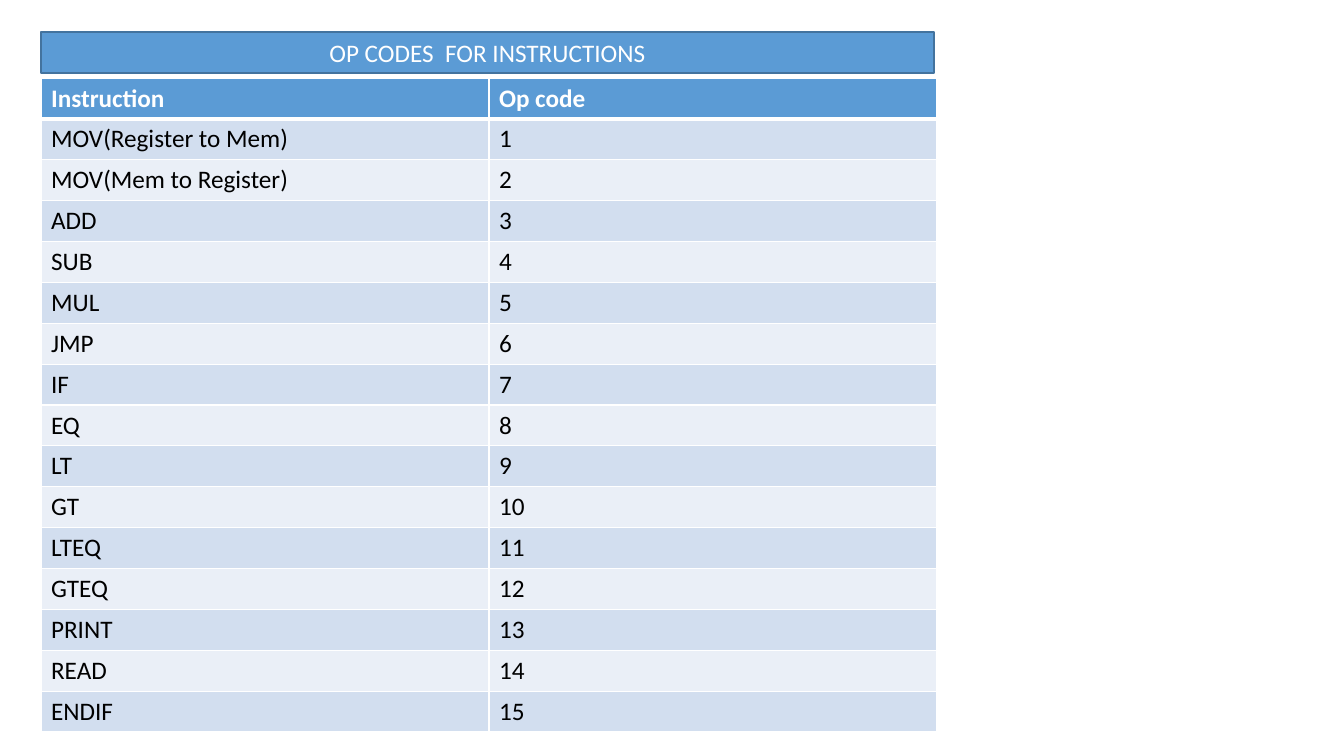
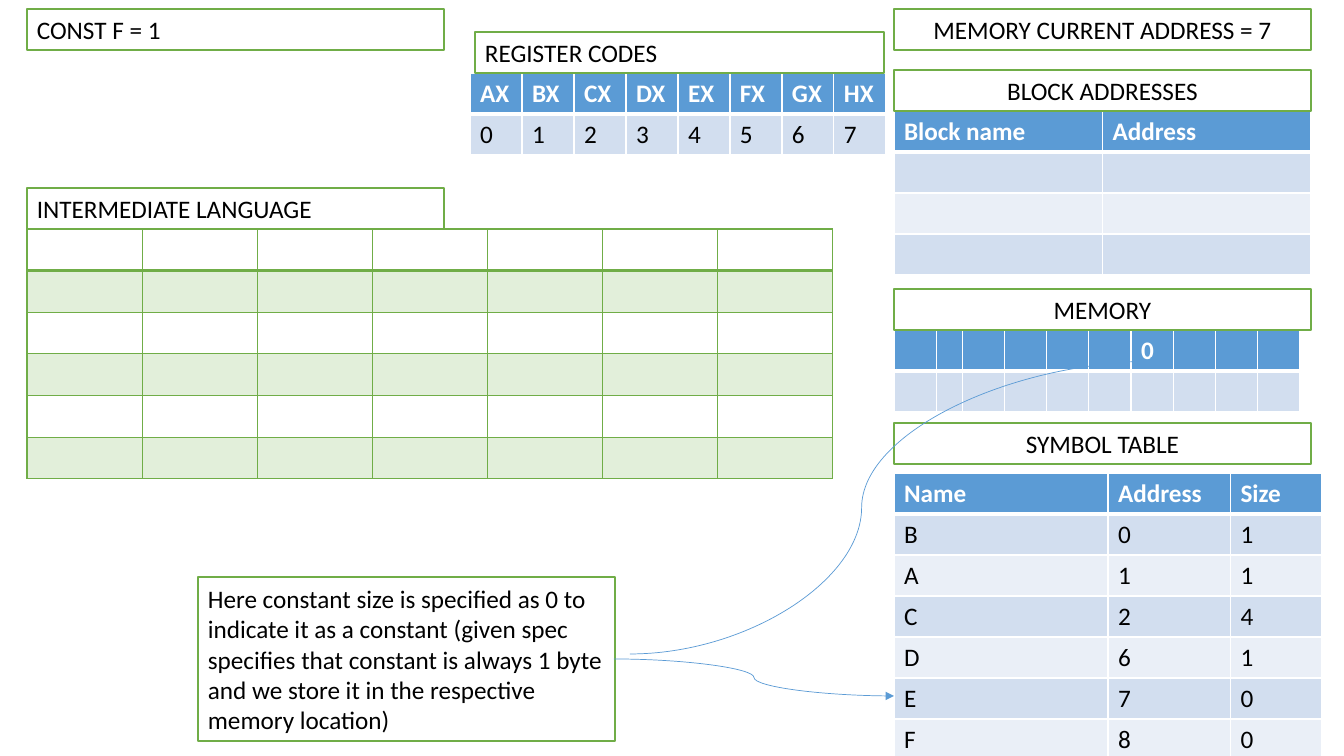
from lxml import etree
from pptx import Presentation
from pptx.dml.color import RGBColor
from pptx.enum.shapes import MSO_CONNECTOR, MSO_SHAPE
from pptx.enum.text import MSO_ANCHOR, PP_ALIGN
from pptx.oxml.ns import qn
from pptx.util import Pt

RECT = MSO_SHAPE.RECTANGLE
CURVE = MSO_CONNECTOR.CURVE
LEFT, CENTER = PP_ALIGN.LEFT, PP_ALIGN.CENTER
MIDDLE = MSO_ANCHOR.MIDDLE
SCALE = 914400 / 100.8
FONT = "Calibri"
WHITE, BLACK = "FFFFFF", "000000"
BLUE, NAVY, GREEN = "5B9BD5", "43739E", "70AD47"
BLUES = (BLUE, "D2DEEF", "EAEFF7")
GREENS = (None, "E2EFDA", None)
BAR = 41


def px(n):
    return round(n * SCALE)


def color(code):
    return RGBColor.from_string(code)


def paint(fill, code):
    if code is None:
        fill.background()
    else:
        fill.solid()
        fill.fore_color.rgb = color(code)


def write(frame, text, ink=BLACK, bold=False, align=LEFT, size=18):
    para = frame.paragraphs[0]
    para.alignment = align
    run = para.add_run()
    run.text = text
    font = run.font
    font.name, font.size, font.bold = FONT, Pt(size), bold
    font.color.rgb = color(ink)


def label(slide, box, text, fill=WHITE, edge=GREEN, **style):
    shape = slide.shapes.add_shape(RECT, *map(px, box))
    shape.shadow.inherit = False
    paint(shape.fill, fill)
    shape.line.color.rgb = color(edge)
    shape.line.width = Pt(1)
    frame = shape.text_frame
    frame.word_wrap = True
    frame.vertical_anchor = MIDDLE
    write(frame, text, **style)


def border(cell, code, top, bottom):
    props = cell._tc.get_or_add_tcPr()
    sides = (("lnL", 1), ("lnR", 1), ("lnT", top), ("lnB", bottom))
    for at, (side, width) in enumerate(sides):
        line = etree.Element(qn("a:" + side), w=str(Pt(width)))
        solid = etree.SubElement(line, qn("a:solidFill"))
        etree.SubElement(solid, qn("a:srgbClr"), val=code)
        props.insert(at, line)


def grid(slide, box, rows, parts=None, fills=BLUES, edge=WHITE, rule=3):
    parts = parts or [1] * len(rows[0])
    frame = slide.shapes.add_table(len(rows), len(parts), *map(px, box))
    table = frame.table
    table.first_row = table.horz_banding = False
    for col, part in zip(table.columns, parts):
        col.width = px(box[2] * part / sum(parts))
    for i, row in enumerate(rows):
        table.rows[i].height = px(box[3] / len(rows))
        fill = fills[0] if i == 0 else fills[2 - i % 2]
        for j, text in enumerate(row):
            cell = table.cell(i, j)
            paint(cell.fill, fill)
            border(cell, edge, rule if i == 1 else 1, rule if i == 0 else 1)
            if text:
                write(cell.text_frame, text, bold=i == 0,
                      ink=WHITE if i == 0 else BLACK)


def panel(slide, box, title, rows, width, shift=0, gap=0, style=None, **look):
    x, y, w, h = box
    grid(slide, (x, y, w, h), rows, **look)
    label(slide, (x + shift, y - gap - BAR, width, BAR), title, **(style or {}))


def arrow(slide, start, end, bend=50000):
    link = slide.shapes.add_connector(CURVE, *map(px, start + end))
    link.line.color.rgb = color(BLUE)
    link.line.width = Pt(0.5)
    props = link._element.spPr
    guides = props.find(qn("a:prstGeom")).get_or_add_avLst()
    etree.SubElement(guides, qn("a:gd"), name="adj1", fmla=f"val {bend}")
    etree.SubElement(props.find(qn("a:ln")), qn("a:tailEnd"), type="triangle")
    etree.SubElement(props, qn("a:effectLst"))


def codes(slide, box):
    names = ("MOV(Register to Mem)", "MOV(Mem to Register)", "ADD", "SUB",
             "MUL", "JMP", "IF", "EQ", "LT", "GT", "LTEQ", "GTEQ", "PRINT",
             "READ", "ENDIF")
    rows = [("Instruction", "Op code")]
    rows += [(name, str(n)) for n, name in enumerate(names, 1)]
    panel(slide, box, "OP CODES  FOR INSTRUCTIONS", rows, 893, gap=5,
          style=dict(fill=BLUE, edge=NAVY, ink=WHITE, align=CENTER))


def source(slide, box):
    x, y, w, h = box
    label(slide, (x, y, w, BAR), "CONST F = 1")
    panel(slide, (x, y + 220, 806, 250), "INTERMEDIATE LANGUAGE",
          [[""] * 7] * 6, w, fills=GREENS, edge=GREEN, rule=2)
    label(slide, (x + 171, y + 568, w, 164),
          "Here constant size is specified as 0 to indicate it as a constant "
          "(given spec specifies that constant is always 1 byte and we store "
          "it in the respective memory location)")


def register(slide, box):
    rows = [[c + "X" for c in "ABCDEFGH"], list("01234567")]
    panel(slide, box, "REGISTER CODES", rows, 409, shift=5)


def memory(slide, box):
    x, y, w, h = box
    mid = dict(align=CENTER)
    label(slide, (x, y, w, BAR), "MEMORY CURRENT ADDRESS = 7", **mid)
    panel(slide, (x, y + 102, w, 4 * BAR), "BLOCK ADDRESSES",
          [("Block name", "Address")] + [("", "")] * 3, w, style=mid)
    panel(slide, (x, y + 321, 406, 2 * BAR), "MEMORY",
          [[""] * 6 + ["0"] + [""] * 3, [""] * 10], w, style=mid,
          parts=[42, 26] + [42] * 8)
    rows = [("Name", "Address", "Size")]
    rows += zip("BACDEF", "012678", "114100")
    panel(slide, (x, y + 464, 428, 7 * BAR), "SYMBOL TABLE", rows, w,
          gap=9, style=mid, parts=[213, 122, 91])


deck = Presentation()
deck.slide_width, deck.slide_height = px(1344), px(756)
blank = deck.slide_layouts[6]

codes(deck.slides.add_slide(blank), (41, 78, 896, 654))

state = deck.slides.add_slide(blank)
memory(state, (894, 9, 417, 747))
source(state, (27, 9, 417, 747))
register(state, (470, 73, 416, 2 * BAR))
arrow(state, (630, 654), (1159, 361), 43800)
arrow(state, (614, 659), (894, 696))

deck.save("out.pptx")
